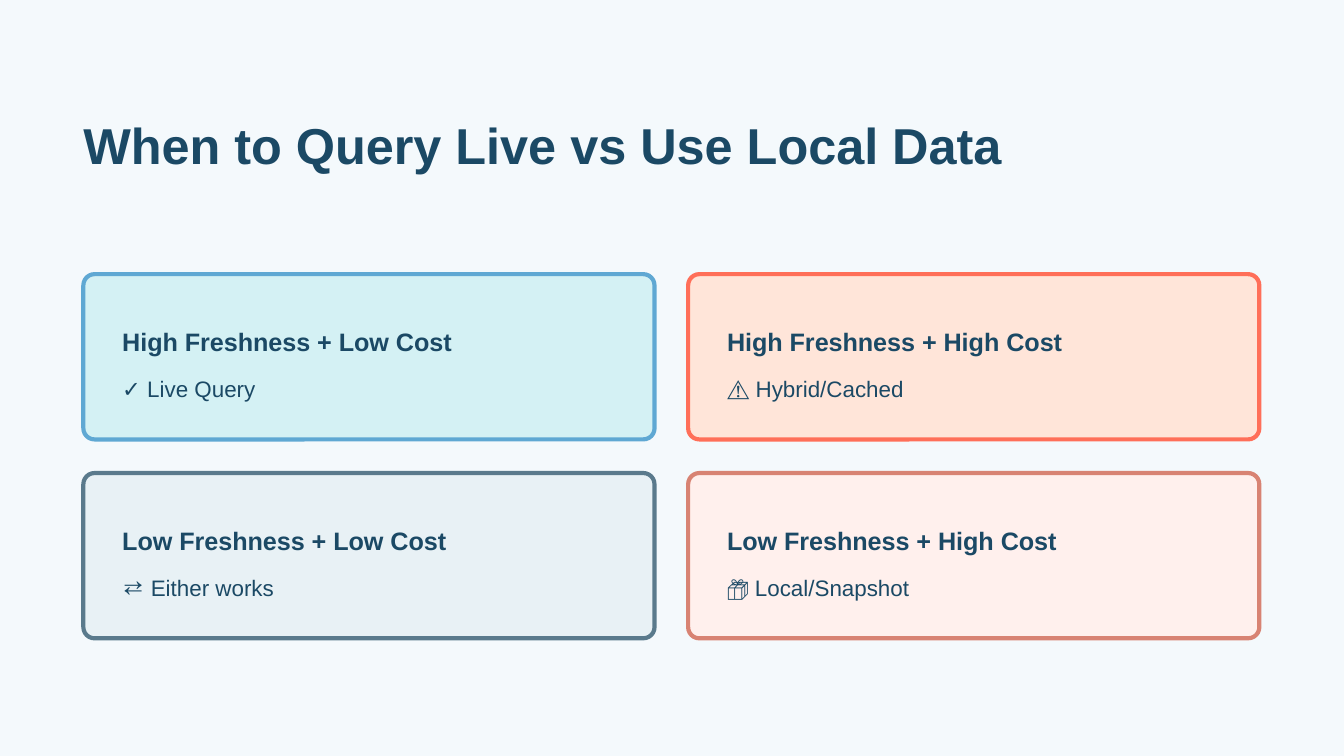
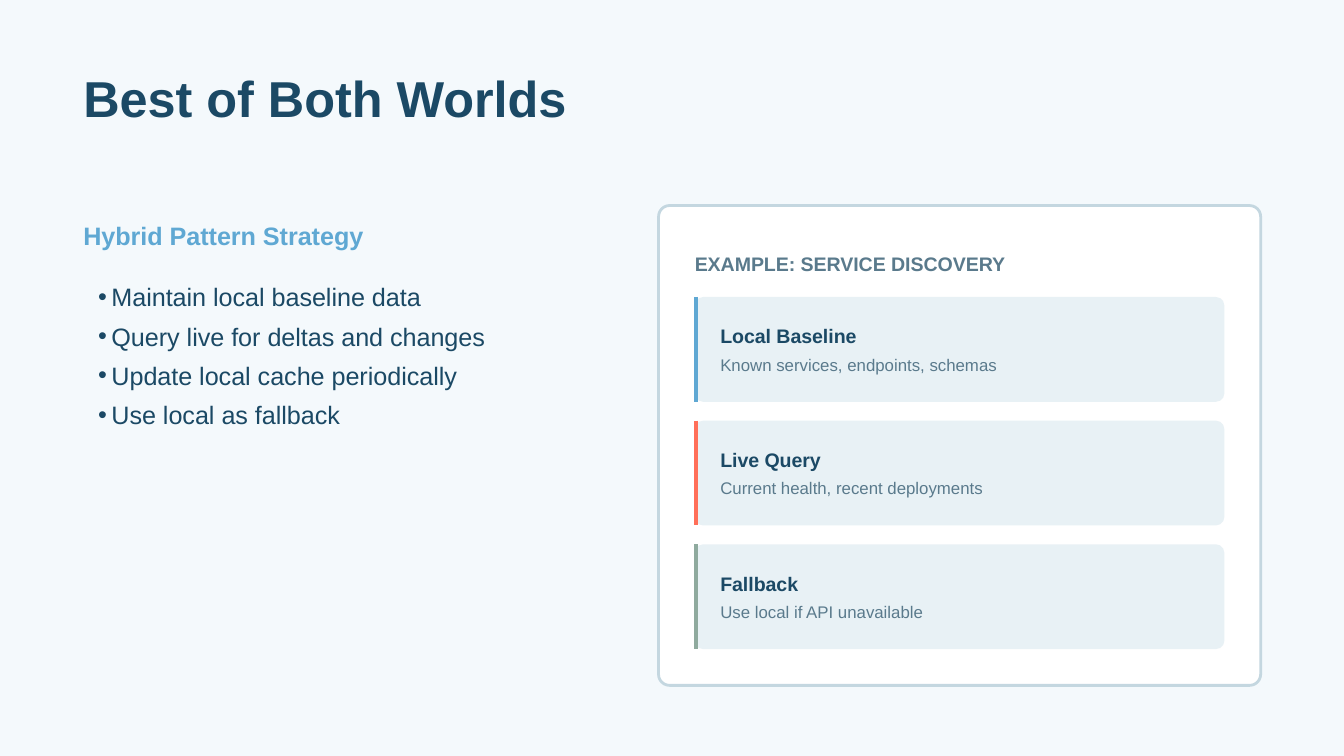
from pptx import Presentation
from pptx.dml.color import RGBColor
from pptx.enum.shapes import MSO_CONNECTOR, MSO_SHAPE
from pptx.oxml.ns import qn
from pptx.util import Inches, Pt
from lxml import etree

ROUND = MSO_SHAPE.ROUNDED_RECTANGLE
STRAIGHT = MSO_CONNECTOR.STRAIGHT

FONT = "Arial"
NAVY, SLATE, BLUE, CORAL = "1B4965", "5A7A8C", "5FA8D3", "FF6F59"
SAGE, ROSE, PALE, WHITE = "8FAA9E", "D88373", "E8F1F5", "FFFFFF"
BACK, EDGE = "F4F9FC", "C4D7E0"


def style(size, lead, color=NAVY, bold=False, before=0, after=0):
    """Return the font and paragraph values of one text style."""
    return {
        "font": {"name": FONT, "size": Pt(size), "bold": bold},
        "para": {"line_spacing": Pt(lead), "space_before": Pt(before),
                 "space_after": Pt(after)},
        "color": color,
    }


TITLE = style(27, 30, bold=True, after=24)
HEAD = style(13.5, 21, bold=True, before=3, after=6)
BODY = style(12, 18)
LEAD = style(13.5, 21, BLUE, True, 3, 12)
LIST = style(13.5, 21)
LABEL = style(10.5, 15, SLATE, True, 3, 12)
NAME = style(10.5, 15, bold=True)
NOTE = style(9, 12, SLATE, before=2.4, after=3)

CARDS = [
    ("High Freshness + Low Cost", "✓ Live Query", "D4F1F4", BLUE),
    ("High Freshness + High Cost", "⚠ Hybrid/Cached", "FFE5D9", CORAL),
    ("Low Freshness + Low Cost", "⇄ Either works", PALE, SLATE),
    ("Low Freshness + High Cost", "📦 Local/Snapshot", "FFF0ED", ROSE),
]
POINTS = [
    "Maintain local baseline data",
    "Query live for deltas and changes",
    "Update local cache periodically",
    "Use local as fallback",
]
ITEMS = [
    ("Local Baseline", "Known services, endpoints, schemas", BLUE),
    ("Live Query", "Current health, recent deployments", CORAL),
    ("Fallback", "Use local if API unavailable", SAGE),
]


def rgb(code):
    """Turn a hex string into a colour."""
    return RGBColor.from_string(code)


def apply(item, values):
    """Set each named value on an object."""
    for key, value in values.items():
        setattr(item, key, value)


def bullet(para):
    """Give a paragraph a hanging bullet."""
    props = para._p.get_or_add_pPr()
    props.set("marL", str(Inches(0.1)))
    props.set("indent", str(-Inches(0.1)))
    etree.SubElement(props, qn("a:buFont")).set("typeface", FONT)
    etree.SubElement(props, qn("a:buChar")).set("char", "•")


def text(slide, box, lines, look, dots=False):
    """Write lines of one style in a text box."""
    frame = slide.shapes.add_textbox(*map(Inches, box)).text_frame
    apply(frame, {"word_wrap": True, "margin_top": 0, "margin_right": 0,
                  "margin_bottom": 0, "margin_left": Inches(0.11 if dots else 0)})
    for i, line in enumerate(lines):
        para = frame.add_paragraph() if i else frame.paragraphs[0]
        apply(para, look["para"])
        if dots:
            bullet(para)
        run = para.add_run()
        run.text = line
        apply(run.font, look["font"])
        run.font.color.rgb = rgb(look["color"])


def panel(slide, box, curve, fill, edge=None, width=0):
    """Draw a rounded panel with an optional outline."""
    shape = slide.shapes.add_shape(ROUND, *map(Inches, box))
    shape.adjustments[0] = curve
    shape.shadow.inherit = False
    shape.fill.solid()
    shape.fill.fore_color.rgb = rgb(fill)
    if edge:
        shape.line.color.rgb = rgb(edge)
        shape.line.width = Pt(width)
    else:
        shape.line.fill.background()


def rule(slide, x, y, high, color):
    """Draw an upright accent line."""
    ends = map(Inches, (x, y, x, y + high))
    line = slide.shapes.add_connector(STRAIGHT, *ends)
    line.line.color.rgb = rgb(color)
    line.line.width = Pt(2.25)
    etree.SubElement(line._element.spPr, qn("a:effectLst"))


def start(deck, title, box):
    """Add a blank slide with its backdrop and title."""
    slide = deck.slides.add_slide(deck.slide_layouts[6])
    slide.background.fill.solid()
    slide.background.fill.fore_color.rgb = rgb(BACK)
    text(slide, box, [title], TITLE)
    return slide


def card(slide, box, head, body, fill, edge):
    """Place one choice card."""
    x, y, wide, _ = box
    panel(slide, box, 0.068, fill, edge, 2.25)
    text(slide, (x + 0.29, y + 0.32, wide - 0.49, 0.29), [head], HEAD)
    text(slide, (x + 0.29, y + 0.7, wide - 0.49, 0.25), [body], BODY)


def grid(slide, box, gap):
    """Place the cards in two rows and two columns."""
    x, y, wide, high = box
    w, h = (wide - gap) / 2, (high - gap) / 2
    for i, entry in enumerate(CARDS):
        row, col = divmod(i, 2)
        card(slide, (x + col * (w + gap), y + row * (h + gap), w, h), *entry)


def points(slide, box):
    """Place the strategy heading and its bullets."""
    x, y, wide, high = box
    text(slide, (x, y, wide, 0.29), ["Hybrid Pattern Strategy"], LEAD)
    text(slide, (x, y + 0.46, wide, high - 0.46), POINTS, LIST, True)


def entry(slide, box, name, note, color):
    """Place one example row with its accent."""
    x, y, wide, high = box
    panel(slide, box, 0.08, PALE)
    rule(slide, x + 0.01, y, high, color)
    text(slide, (x + 0.19, y + 0.17, wide - 0.3, 0.21), [name], NAME)
    text(slide, (x + 0.19, y + 0.41, wide - 0.3, 0.17), [note], NOTE)


def sample(slide, box):
    """Place the example panel and its rows."""
    x, y, wide, _ = box
    panel(slide, box, 0.023, WHITE, EDGE, 1.5)
    x, wide = x + 0.27, wide - 0.54
    text(slide, (x, y + 0.31, wide, 0.21), ["EXAMPLE: SERVICE DISCOVERY"], LABEL)
    for i, item in enumerate(ITEMS):
        entry(slide, (x, y + 0.68 + i * 0.92, wide, 0.78), *item)


def main():
    """Build and save the deck."""
    deck = Presentation()
    deck.slide_width, deck.slide_height = Inches(10), Inches(10 * 9 / 16)
    slide = start(deck, "When to Query Live vs Use Local Data",
                  (0.62, 0.88, 6.98, 0.42))
    grid(slide, (0.62, 2.04, 8.75, 2.71), 0.25)
    slide = start(deck, "Best of Both Worlds", (0.62, 0.53, 4.47, 0.42))
    points(slide, (0.62, 1.57, 4, 1.75))
    sample(slide, (4.9, 1.53, 4.48, 3.57))
    deck.save("out.pptx")


if __name__ == "__main__":
    main()
